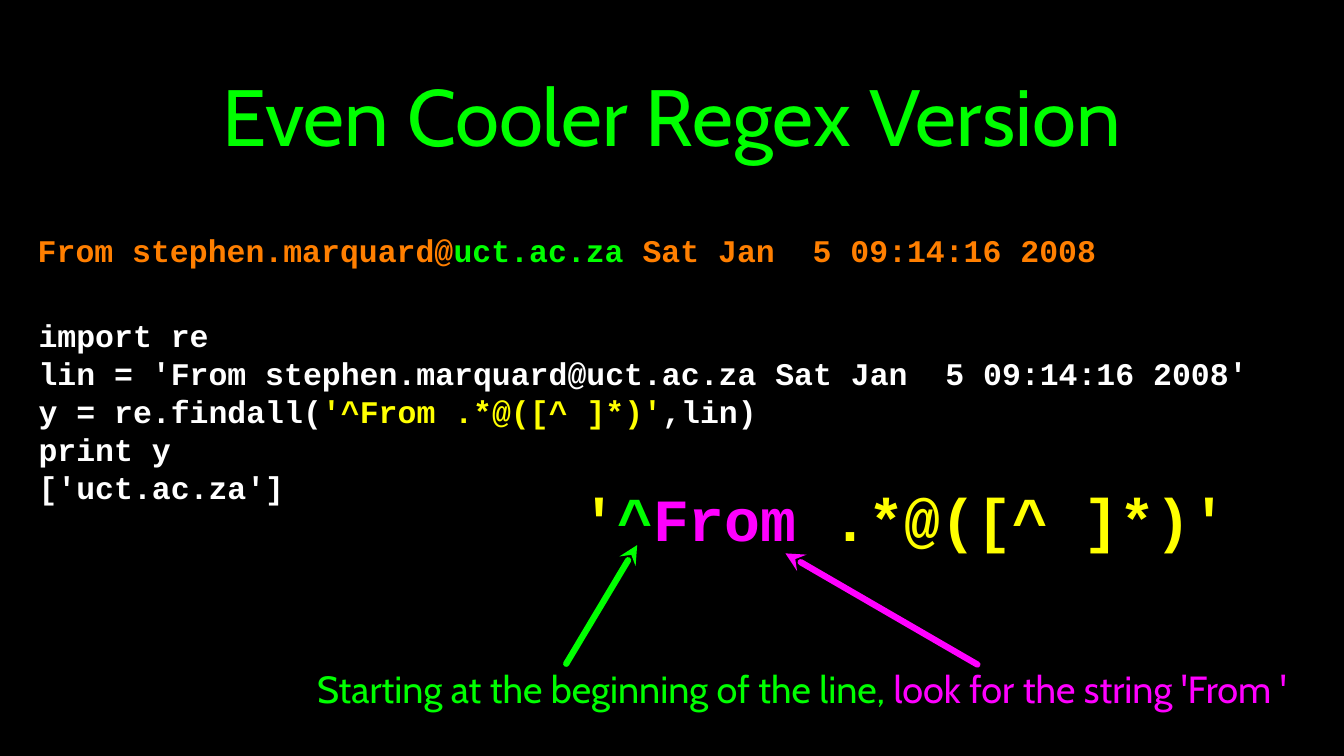
from dataclasses import dataclass
from lxml import etree
from pptx import Presentation
from pptx import util as u
from pptx.dml.color import RGBColor
from pptx.enum import shapes, text
from pptx.oxml.ns import qn


@dataclass(frozen=True)
class Theme:
    back: str = "000000"
    plain: str = "FFFFFF"
    green: str = "00FF00"
    yellow: str = "FFFF00"
    magenta: str = "FF00FF"
    orange: str = "FF7F00"
    sans: str = "Cabin"
    mono: str = "Courier New"
    title: int = 76
    pattern: int = 57
    caption: int = 36
    code: int = 30
    arrow: int = 6


T = Theme()
W, H = u.Inches(17.78), u.Inches(10)
REGEX = ".*@([^ ]*)'"


def px(share):
    return u.Emu(round(W * share / 100))


def py(share):
    return u.Emu(round(H * share / 100))


def add_text(s, box, lines, size, font, bold=False, align=text.PP_ALIGN.LEFT, inset=0):
    x, y, w, h = box
    tf = s.shapes.add_textbox(px(x), py(y), px(w), py(h)).text_frame
    frame = {"word_wrap": True, "vertical_anchor": text.MSO_ANCHOR.MIDDLE}
    frame.update({f"margin_{side}": u.Inches(inset)
                  for side in ("left", "top", "right", "bottom")})
    for name, value in frame.items():
        setattr(tf, name, value)
    for i, line in enumerate(lines):
        p = tf.add_paragraph() if i else tf.paragraphs[0]
        p.alignment = align
        for words, color in line:
            r = p.add_run()
            r.text = words
            for name, value in {"size": u.Pt(size), "name": font, "bold": bold}.items():
                setattr(r.font, name, value)
            r.font.color.rgb = RGBColor.from_string(color)


def add_arrow(s, tip, tail, color):
    sp = s.shapes.add_connector(shapes.MSO_CONNECTOR.STRAIGHT,
                                px(tip[0]), py(tip[1]), px(tail[0]), py(tail[1]))
    sp.line.width = u.Pt(T.arrow)
    sp.line.color.rgb = RGBColor.from_string(color)
    ln = sp.line._get_or_add_ln()
    ln.set("cap", "rnd")
    etree.SubElement(ln, qn("a:round"))
    etree.SubElement(ln, qn("a:headEnd"), type="stealth")
    etree.SubElement(sp._element.spPr, qn("a:effectLst"))


def main():
    prs = Presentation()
    prs.slide_width, prs.slide_height = W, H
    s = prs.slides.add_slide(prs.slide_layouts[6])
    s.background.fill.solid()
    s.background.fill.fore_color.rgb = RGBColor.from_string(T.back)
    center = text.PP_ALIGN.CENTER

    add_text(s, (7.09, 2.6, 85.71, 25.1), [[("Even Cooler Regex Version", T.green)]],
             T.title, T.sans, align=center, inset=0.04)
    add_text(s, (43.25, 63.7, 48.59, 9.6),
             [[("'", T.yellow), ("^", T.green), ("From ", T.magenta), (REGEX, T.yellow)]],
             T.pattern, T.mono, bold=True)
    add_text(s, (23.4, 87.6, 72.55, 6.8),
             [[("Starting at the beginning of the line, ", T.green),
               ("look for the string 'From ' ", T.magenta)]],
             T.caption, T.sans, align=center)
    add_arrow(s, (47.41, 72.1), (42.13, 87.8), T.green)
    add_arrow(s, (58.44, 73.2), (72.72, 87.9), T.magenta)

    sender, host, date = "From stephen.marquard@", "uct.ac.za", " Sat Jan  5 09:14:16 2008"
    add_text(s, (2.81, 29.4, 95.22, 7.4),
             [[(sender, T.orange), (host, T.green), (date, T.orange)]],
             T.code, T.mono, bold=True)
    add_text(s, (2.87, 42, 96.96, 24.7),
             [[("import re", T.plain)],
              [(f"lin = '{sender}{host}{date}'", T.plain)],
              [("y = re.findall(", T.plain), ("'^From " + REGEX, T.yellow), (",lin)", T.plain)],
              [("print y", T.plain)],
              [(f"['{host}']", T.plain)]],
             T.code, T.mono, bold=True)
    prs.save("out.pptx")


if __name__ == "__main__":
    main()
